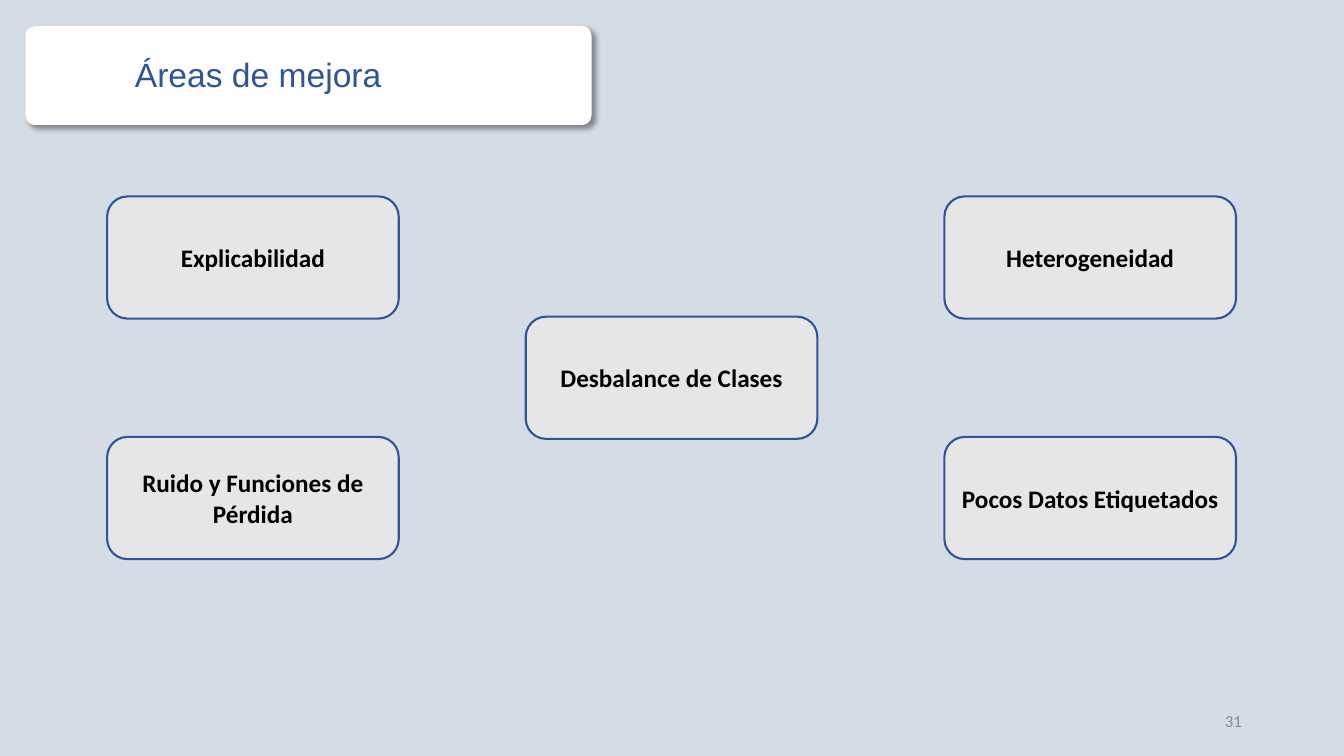
from dataclasses import dataclass

from pptx import Presentation
from pptx.dml.color import RGBColor
from pptx.enum.shapes import MSO_SHAPE
from pptx.enum.text import MSO_ANCHOR, PP_ALIGN
from pptx.oxml import parse_xml
from pptx.util import Cm, Pt

ROUNDED = MSO_SHAPE.ROUNDED_RECTANGLE
MIDDLE = MSO_ANCHOR.MIDDLE
LEFT, CENTER, RIGHT = PP_ALIGN.LEFT, PP_ALIGN.CENTER, PP_ALIGN.RIGHT

SHADOW = """<a:effectLst xmlns:a="http://schemas.openxmlformats.org/drawingml/2006/main">
  <a:outerShdw blurRad="50800" dist="38100" dir="2700000" algn="tl" rotWithShape="0">
    <a:srgbClr val="000000"><a:alpha val="40000"/></a:srgbClr>
  </a:outerShdw>
</a:effectLst>"""


@dataclass(frozen=True)
class Theme:
    background: str = "D6DCE5"
    banner: str = "FFFFFF"
    accent: str = "2F5597"
    card: str = "E7E6E6"
    ink: str = "000000"
    muted: str = "8C8C8C"
    title_font: str = "Arial"
    body_font: str = "Calibri"
    title_size: int = 24
    card_size: int = 18
    number_size: int = 12
    outline: float = 1.5


class SlideBuilder:
    def __init__(self, slide, theme):
        self.slide = slide
        self.theme = theme
        fill = slide.background.fill
        fill.solid()
        fill.fore_color.rgb = RGBColor.from_string(theme.background)

    def set_text(self, shape, text, size, font, color, align, bold=False):
        frame = shape.text_frame
        frame.text = text
        frame.word_wrap = True
        frame.vertical_anchor = MIDDLE
        paragraph = frame.paragraphs[0]
        paragraph.alignment = align
        style = paragraph.runs[0].font
        style.size, style.name, style.bold = Pt(size), font, bold
        style.color.rgb = RGBColor.from_string(color)

    def panel(self, box, color):
        panel = self.slide.shapes.add_shape(ROUNDED, *map(Cm, box))
        panel.shadow.inherit = False
        panel.fill.solid()
        panel.fill.fore_color.rgb = RGBColor.from_string(color)
        return panel

    def banner(self, box):
        banner = self.panel(box, self.theme.banner)
        banner.adjustments[0] = 0.1
        banner.line.fill.background()
        # Swap the empty effect list for a soft drop shadow
        properties = banner.element.spPr
        properties.replace(properties.find("{*}effectLst"), parse_xml(SHADOW))

    def card(self, box, text):
        theme = self.theme
        card = self.panel(box, theme.card)
        card.line.color.rgb = RGBColor.from_string(theme.accent)
        card.line.width = Pt(theme.outline)
        self.set_text(card, text, theme.card_size, theme.body_font, theme.ink, CENTER, bold=True)

    def label(self, box, text, size, font, color, align):
        label = self.slide.shapes.add_textbox(*map(Cm, box))
        self.set_text(label, text, size, font, color, align)


def main():
    theme = Theme()
    deck = Presentation()
    deck.slide_width, deck.slide_height = Cm(33.87), Cm(19.05)
    page = SlideBuilder(deck.slides.add_slide(deck.slide_layouts[6]), theme)

    # Title banner
    page.banner((0.64, 0.66, 14.27, 2.49))
    page.label((3.15, 0.61, 11.51, 2.49), "Áreas de mejora",
               theme.title_size, theme.title_font, theme.accent, LEFT)

    # Slide number
    page.label((23.93, 17.65, 7.62, 1.02), "31",
               theme.number_size, theme.body_font, theme.muted, RIGHT)

    # Improvement areas: four corners and the centre of a 3 x 3 grid
    areas = {
        (0, 0): "Explicabilidad",
        (0, 2): "Ruido y Funciones de Pérdida",
        (1, 1): "Desbalance de Clases",
        (2, 0): "Heterogeneidad",
        (2, 2): "Pocos Datos Etiquetados",
    }
    for (column, row), area in areas.items():
        page.card((2.7 + 10.55 * column, 4.95 + 3.03 * row, 7.35, 3.08), area)

    deck.save("out.pptx")


if __name__ == "__main__":
    main()
